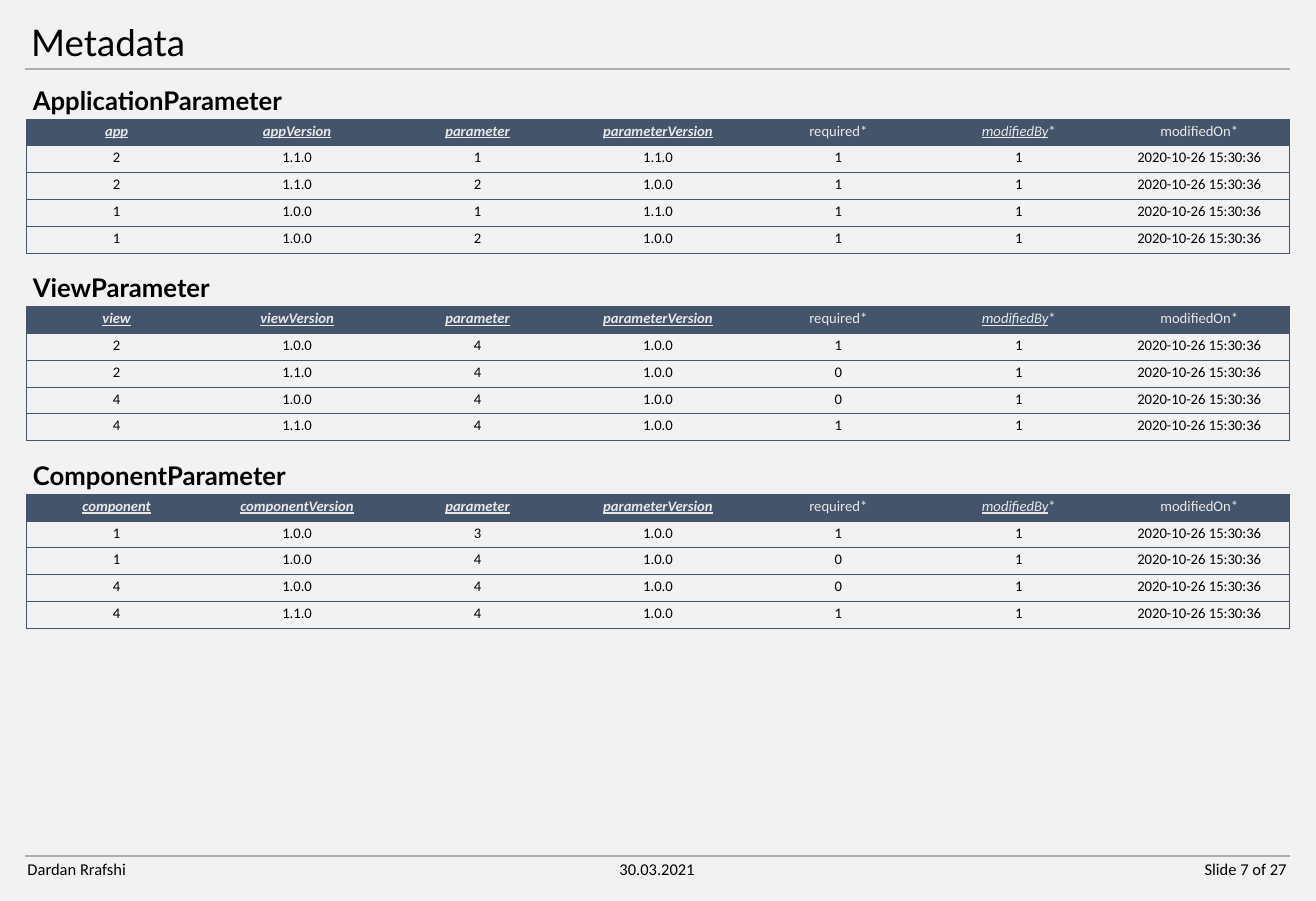
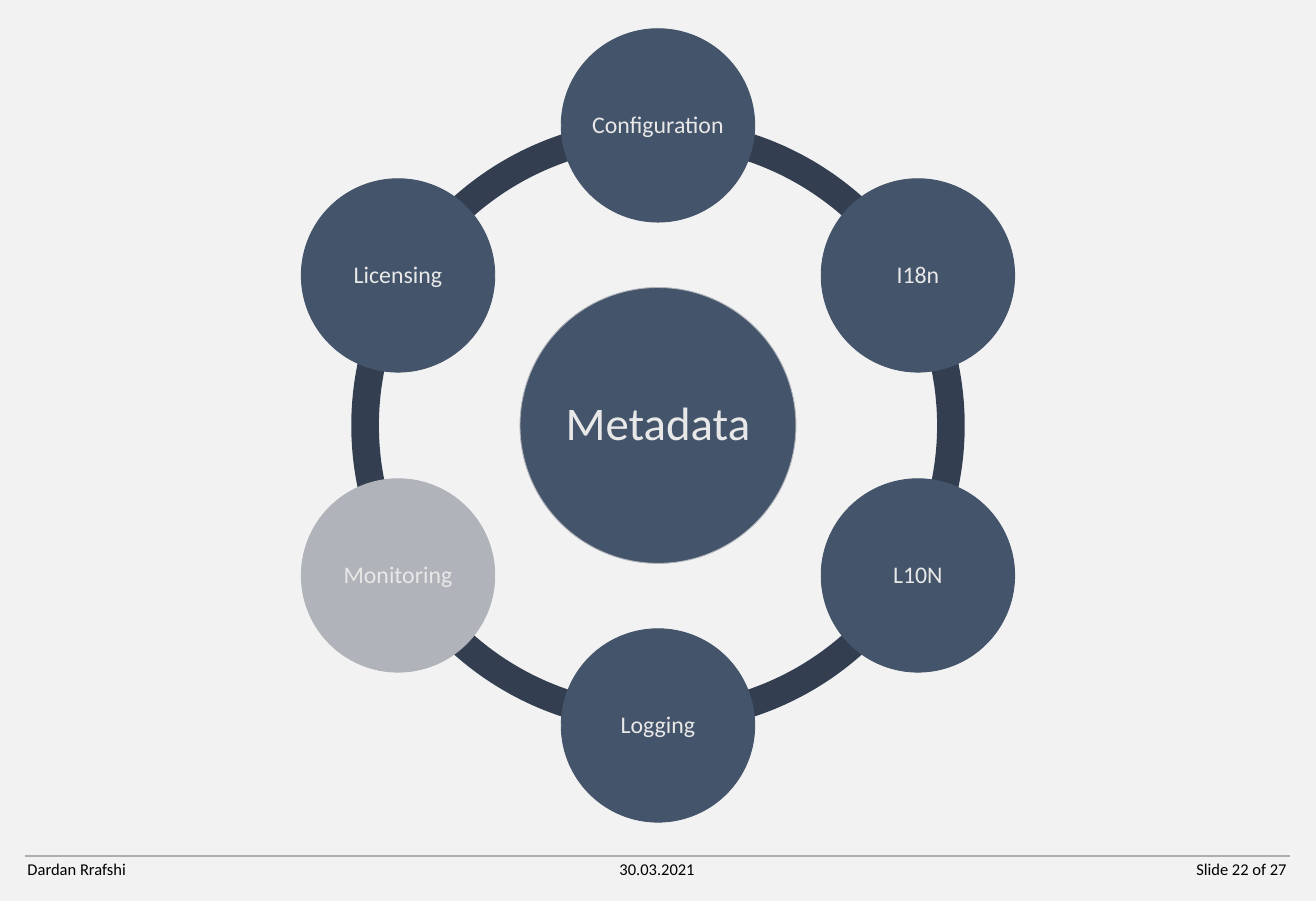
import math

import pptx
import pptx.util
import pptx.dml.color
import pptx.enum.shapes
import pptx.enum.text
import pptx.oxml.ns
from lxml import etree

# Slide size and grid, in inches; row 0, column 0 is the first table's corner
WIDTH, HEIGHT = 19.93, 13.65
LEFT, TOP = 0.4, 1.8
COLUMNS = 7
COLUMN = (WIDTH - 2 * LEFT) / COLUMNS
ROW = 0.406
TABLE_PITCH = 7
FOOTER_ROW = 27.5

COLORS = {
    "background": "F2F2F2", "ink": "000000", "light": "E8E8E8",
    "rule": "AEAEAE", "navy": "44546A", "ring": "333F50", "muted": "B0B3B9",
}

# Text formats
TITLE = {"name": "Lato", "size": 40, "color": "ink", "bold": False}
HEADING = {"name": "Lato", "size": 28, "color": "ink", "bold": True}
FOOTER = {"name": "Calibri", "size": 18, "color": "ink"}
CELL = {"name": "Calibri", "size": 16, "color": "ink", "bold": False}
PLAIN_HEADER = {**CELL, "color": "light"}
LINK_HEADER = {**PLAIN_HEADER, "italic": True, "underline": True}
KEY_HEADER = {**LINK_HEADER, "bold": True}
NODE = {"name": "Calibri", "size": 26, "color": "light"}
HUB = {**NODE, "size": 51}

ALIGN = pptx.enum.text.PP_ALIGN
ANCHOR = pptx.enum.text.MSO_ANCHOR
SHAPE = pptx.enum.shapes.MSO_SHAPE
NO_STYLE = "{2D5ABB26-0587-4C30-8999-92F81FD0307C}"

# Table contents: the last two columns are the same in every row
MODIFIED = ("1", "2020-10-26 15:30:36")
TABLES = [
    ("ApplicationParameter", "app", [
        ("2", "1.1.0", "1", "1.1.0", "1"),
        ("2", "1.1.0", "2", "1.0.0", "1"),
        ("1", "1.0.0", "1", "1.1.0", "1"),
        ("1", "1.0.0", "2", "1.0.0", "1"),
    ]),
    ("ViewParameter", "view", [
        ("2", "1.0.0", "4", "1.0.0", "1"),
        ("2", "1.1.0", "4", "1.0.0", "0"),
        ("4", "1.0.0", "4", "1.0.0", "0"),
        ("4", "1.1.0", "4", "1.0.0", "1"),
    ]),
    ("ComponentParameter", "component", [
        ("1", "1.0.0", "3", "1.0.0", "1"),
        ("1", "1.0.0", "4", "1.0.0", "0"),
        ("4", "1.0.0", "4", "1.0.0", "0"),
        ("4", "1.1.0", "4", "1.0.0", "1"),
    ]),
]

# Diagram: lengths in percent of the slide height, nodes clockwise from the top
NODES = ["Configuration", "I18n", "L10N", "Logging", "Monitoring", "Licensing"]
MUTED_NODES = {"Monitoring"}
CENTER_Y, RING, ORBIT, HUB_SIZE, NODE_SIZE = 47.22, 68.06, 33.3, 30.62, 21.46
RING_THICKNESS = 0.05 * 0.9


def color(name):
    return pptx.dml.color.RGBColor.from_string(COLORS[name])


def inches(*lengths):
    return [pptx.util.Inches(length) for length in lengths]


def grid(column, row, columns, rows):
    """Left, top, width and height of an area of the grid."""
    return inches(LEFT + column * COLUMN, TOP + row * ROW,
                  columns * COLUMN, rows * ROW)


def write(frame, spans, align=ALIGN.LEFT, spacing=None):
    """Fill the first paragraph with (text, format) spans."""
    para = frame.paragraphs[0]
    para.alignment = align
    para.line_spacing = spacing
    for text, style in spans:
        span = para.add_run()
        span.text = text
        for key, value in style.items():
            if key == "color":
                span.font.color.rgb = color(value)
            else:
                setattr(span.font, key,
                        pptx.util.Pt(value) if key == "size" else value)


def add_text(page, area, text, style, align=ALIGN.LEFT):
    frame = page.shapes.add_textbox(*area).text_frame
    frame.word_wrap = True
    write(frame, [(text, style)], align)


def add_rule(page, row):
    left, top, width, _ = grid(-0.01, row, COLUMNS + 0.01, 0)
    rule = page.shapes.add_connector(
        pptx.enum.shapes.MSO_CONNECTOR.STRAIGHT, left, top, left + width, top)
    rule.line.color.rgb = color("rule")
    rule.line.width = pptx.util.Pt(2.25)
    etree.SubElement(rule._element.spPr, pptx.oxml.ns.qn("a:effectLst"))


def add_title(page, text):
    title = page.shapes.title
    title.left, title.top, title.width, title.height = grid(-0.01, -3.65, 7.01, 1.78)
    title.text_frame.auto_size = pptx.enum.text.MSO_AUTO_SIZE.NONE
    title.text_frame.vertical_anchor = ANCHOR.MIDDLE
    write(title.text_frame, [(text, TITLE)], spacing=0.9)
    add_rule(page, -1.87)


def add_footer(page, number):
    add_rule(page, FOOTER_ROW)
    parts = [("Dardan Rrafshi", ALIGN.LEFT), ("30.03.2021", ALIGN.CENTER),
             (f"Slide {number} of 27", ALIGN.RIGHT)]
    for index, (text, align) in enumerate(parts):
        area = grid(-0.03 + 3.2 * index, FOOTER_ROW, 0.65, 1)
        add_text(page, area, text, FOOTER, align)


def add_borders(cell, sides):
    properties = cell._tc.get_or_add_tcPr()
    for side in sides:
        line = etree.SubElement(properties, pptx.oxml.ns.qn(f"a:ln{side}"),
                                w=str(pptx.util.Pt(0.5)))
        fill = etree.SubElement(line, pptx.oxml.ns.qn("a:solidFill"))
        etree.SubElement(fill, pptx.oxml.ns.qn("a:srgbClr"), val=COLORS["navy"])


def header_cells(owner):
    keys = [owner, f"{owner}Version", "parameter", "parameterVersion"]
    return [[(key, KEY_HEADER)] for key in keys] + [
        [("required*", PLAIN_HEADER)],
        [("modifiedBy", LINK_HEADER), ("*", PLAIN_HEADER)],
        [("modifiedOn*", PLAIN_HEADER)],
    ]


def add_parameter_table(page, row, heading, owner, records):
    add_text(page, grid(0, row - 1.4, 1.6, 1.4), heading, HEADING)
    lines = [header_cells(owner)]
    lines += [[[(value, CELL)] for value in record + MODIFIED] for record in records]
    holder = page.shapes.add_table(len(lines), COLUMNS,
                                   *grid(0, row, COLUMNS, len(lines)))
    table = holder.table
    table.horz_banding = False
    holder._element.xpath(".//a:tableStyleId")[0].text = NO_STYLE
    for line_index, line in enumerate(lines):
        for column, spans in enumerate(line):
            cell = table.cell(line_index, column)
            left = "L" if column == 0 else ""
            right = "R" if column == COLUMNS - 1 else ""
            add_borders(cell, left + right + "TB")
            if line_index == 0:
                cell.fill.solid()
                cell.fill.fore_color.rgb = color("navy")
            else:
                cell.fill.background()
            write(cell.text_frame, spans, ALIGN.CENTER)


def add_round(page, kind, x, y, size, fill, outline=None):
    """Add a round shape around its centre, in percent of the slide height."""
    share = HEIGHT / 100
    shape = page.shapes.add_shape(kind, *inches(
        WIDTH / 2 + (x - size / 2) * share, (y - size / 2) * share,
        size * share, size * share))
    shape.shadow.inherit = False
    shape.fill.solid()
    shape.fill.fore_color.rgb = color(fill)
    if outline:
        shape.line.color.rgb = color(outline)
        shape.line.width = pptx.util.Pt(1)
    else:
        shape.line.fill.background()
    return shape


def add_disc(page, x, y, size, text, style, fill, outline):
    frame = add_round(page, SHAPE.OVAL, x, y, size, fill, outline).text_frame
    for side in ("left", "top", "right", "bottom"):
        setattr(frame, f"margin_{side}", 0)
    frame.word_wrap = True
    frame.vertical_anchor = ANCHOR.MIDDLE
    write(frame, [(text, style)], ALIGN.CENTER, 0.9)


def add_wheel(page):
    step = 360 / len(NODES)
    angles = [270 + step * index for index in range(len(NODES))]
    # Ring segments; an angle adjustment counts 0.6 per degree
    for angle in angles:
        arc = add_round(page, SHAPE.BLOCK_ARC, 0, CENTER_Y, RING, "ring")
        arc.adjustments[0] = angle % 360 * 0.6
        arc.adjustments[1] = (angle + step) % 360 * 0.6
        arc.adjustments[2] = RING_THICKNESS
    # Hub and nodes
    add_disc(page, 0, CENTER_Y, HUB_SIZE, "Metadata", HUB, "navy", "muted")
    for angle, text in zip(angles, NODES):
        turn = math.radians(angle)
        fill = "muted" if text in MUTED_NODES else "navy"
        add_disc(page, ORBIT * math.cos(turn), CENTER_Y + ORBIT * math.sin(turn),
                 NODE_SIZE, text, NODE, fill, fill)


def main():
    deck = pptx.Presentation()
    deck.slide_width, deck.slide_height = inches(WIDTH, HEIGHT)
    background = deck.slide_master.background.fill
    background.solid()
    background.fore_color.rgb = color("background")
    title_only, blank = deck.slide_layouts[5], deck.slide_layouts[6]

    # Parameter tables
    page = deck.slides.add_slide(title_only)
    add_title(page, "Metadata")
    for index, content in enumerate(TABLES):
        add_parameter_table(page, index * TABLE_PITCH, *content)
    add_footer(page, 7)

    # Metadata wheel
    page = deck.slides.add_slide(blank)
    add_footer(page, 22)
    add_wheel(page)

    deck.save("out.pptx")


if __name__ == "__main__":
    main()
